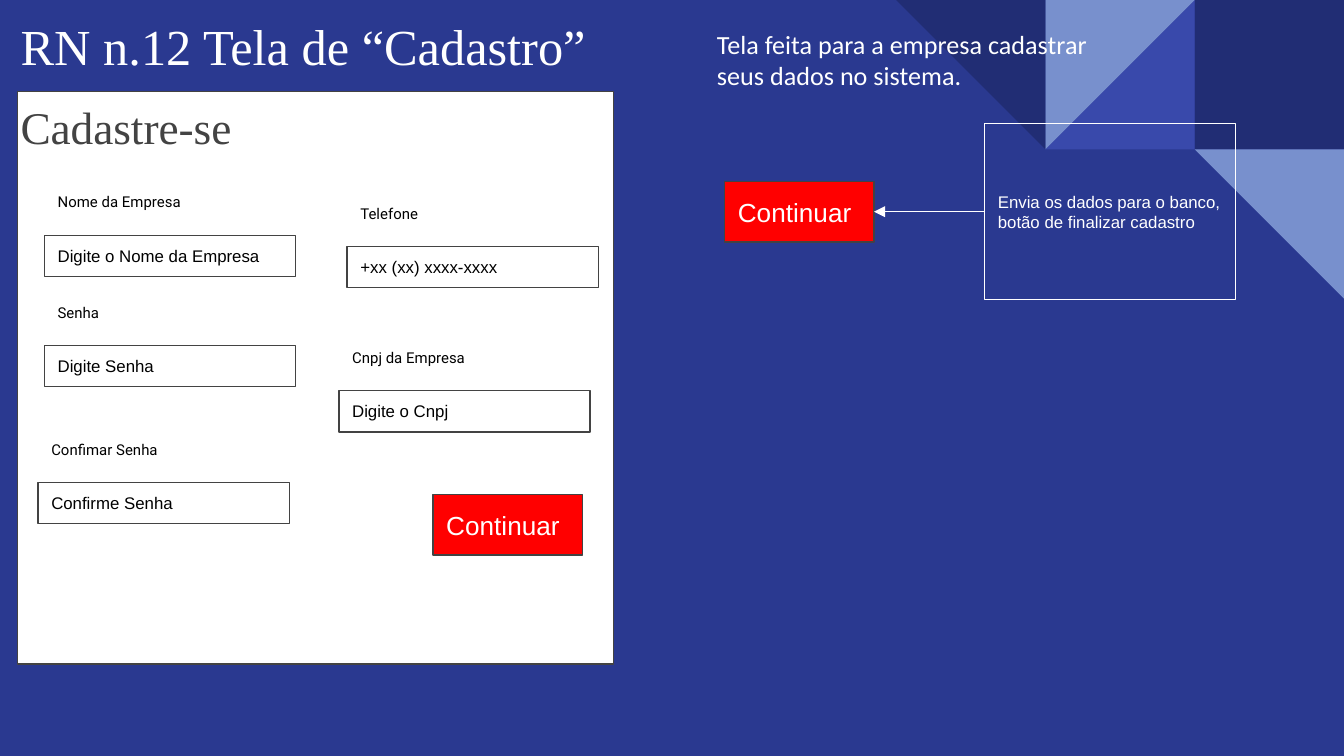
"""Build the slide that explains the company registration screen."""
from dataclasses import dataclass
from typing import Optional

from lxml.etree import SubElement
from pptx import Presentation
from pptx.dml.color import RGBColor
from pptx.enum.shapes import MSO_CONNECTOR as Connector, MSO_SHAPE as Preset
from pptx.enum.text import MSO_ANCHOR as Anchor, MSO_AUTO_SIZE as AutoSize
from pptx.oxml.ns import qn
from pptx.util import Pt

WHITE, BLACK, GRAY, RED = "FFFFFF", "000000", "434343", "FF0000"
NAVY, INDIGO, SKY, BACKGROUND = "212D74", "3949AB", "7890CD", "2A3990"
TILE = 80
FIELD_WIDTH, FIELD_HEIGHT = 134.6, 22.2
LABEL_RISE, LABEL_HEIGHT = 27.4, 24.5
LINE_WIDTH = 0.75


@dataclass
class Box:
    left: float
    top: float
    width: float
    height: float


@dataclass
class Style:
    size: float
    font: str
    color: str
    insets: tuple = (7.2, 7.2, 7.2, 7.2)
    anchor: Anchor = Anchor.TOP
    spacing: Optional[float] = None
    auto_size: AutoSize = AutoSize.NONE


@dataclass
class Tile:
    column: int
    row: int
    color: str
    preset: Preset = Preset.RIGHT_TRIANGLE
    rotation: int = 0


@dataclass
class Field:
    left: float
    top: float
    label: str
    hint: str
    label_width: float = 324


FIELD_STYLE = Style(9, "Arial", BLACK, anchor=Anchor.MIDDLE)
NOTE_STYLE = Style(9, "Arial", WHITE, anchor=Anchor.MIDDLE)
BUTTON_STYLE = Style(14, "Arial", WHITE, anchor=Anchor.MIDDLE)
LABEL_STYLE = Style(8, "Roboto", BLACK, auto_size=AutoSize.SHAPE_TO_FIT_TEXT)
SUMMARY_STYLE = Style(14, "Calibri", WHITE, (5.4, 2.7, 5.4, 2.7),
                      auto_size=AutoSize.SHAPE_TO_FIT_TEXT)
TITLE_STYLE = Style(27, "Times New Roman", WHITE, (5.4, 12, 5.4, 2.7), spacing=0.9)
HEADING_STYLE = Style(24.3, "Times New Roman", GRAY, (5.4, 2.7, 5.4, 2.7), spacing=0.9)

TILES = [
    Tile(2, 0, NAVY, Preset.RECTANGLE),
    Tile(1, 0, INDIGO, rotation=270),
    Tile(1, 0, SKY, rotation=90),
    Tile(0, 0, NAVY, rotation=180),
    Tile(2, 1, SKY, rotation=180),
]
FIELDS = [
    Field(23.8, 126, "Nome da Empresa", "Digite o Nome da Empresa"),
    Field(23.8, 185, "Senha", "Digite Senha"),
    Field(20.4, 258.4, "Confimar Senha", "Confirme Senha"),
    Field(186, 132, "Telefone", "+xx (xx) xxxx-xxxx"),
    Field(181.6, 209.2, "Cnpj da Empresa", "Digite o Cnpj", 124.6),
]


def rgb(value: str) -> RGBColor:
    """Turn a hex string into a colour."""
    return RGBColor.from_string(value)


def points(box: Box) -> tuple:
    """Return the four lengths of a box in points."""
    return Pt(box.left), Pt(box.top), Pt(box.width), Pt(box.height)


def write(shape, text: str, style: Style) -> None:
    """Put styled text into a shape."""
    frame = shape.text_frame
    left, top, right, bottom = map(Pt, style.insets)
    frame_format = {
        "word_wrap": True, "auto_size": style.auto_size, "vertical_anchor": style.anchor,
        "margin_left": left, "margin_top": top,
        "margin_right": right, "margin_bottom": bottom,
    }
    for name, value in frame_format.items():
        setattr(frame, name, value)
    paragraph = frame.paragraphs[0]
    paragraph.alignment = 1
    paragraph.line_spacing = style.spacing
    run = paragraph.add_run()
    run.text = text
    for name, value in {"size": Pt(style.size), "name": style.font}.items():
        setattr(run.font, name, value)
    run.font.color.rgb = rgb(style.color)


def add_text(slide, box: Box, text: str, style: Style) -> None:
    """Add a text box."""
    write(slide.shapes.add_textbox(*points(box)), text, style)


def add_shape(slide, box: Box, fill: Optional[str] = None, line: Optional[str] = None,
              preset: Preset = Preset.RECTANGLE):
    """Add a flat preset shape with optional fill and outline."""
    shape = slide.shapes.add_shape(preset, *points(box))
    shape.shadow.inherit = False
    if fill:
        shape.fill.solid()
        shape.fill.fore_color.rgb = rgb(fill)
    else:
        shape.fill.background()
    if line:
        shape.line.color.rgb = rgb(line)
        shape.line.width = Pt(LINE_WIDTH)
    else:
        shape.line.fill.background()
    return shape


def add_tile(slide, tile: Tile) -> None:
    """Add one tile of the corner ornament."""
    box = Box(480 + tile.column * TILE, tile.row * TILE, TILE, TILE)
    add_shape(slide, box, tile.color, preset=tile.preset).rotation = tile.rotation


def add_button(slide, left: float, top: float) -> None:
    """Add a red continue button."""
    button = add_shape(slide, Box(left, top, 80, 32.4), RED, GRAY)
    write(button, "Continuar", BUTTON_STYLE)


def add_field(slide, field: Field) -> None:
    """Add an input field with its label above."""
    box = Box(field.left, field.top, FIELD_WIDTH, FIELD_HEIGHT)
    write(add_shape(slide, box, WHITE, GRAY), field.hint, FIELD_STYLE)
    label_box = Box(field.left, field.top - LABEL_RISE, field.label_width, LABEL_HEIGHT)
    add_text(slide, label_box, field.label, LABEL_STYLE)


def add_arrow(slide, start: tuple, end: tuple) -> None:
    """Add a white arrow pointing at the end."""
    arrow = slide.shapes.add_connector(Connector.STRAIGHT, *map(Pt, start + end))
    arrow.line.color.rgb = rgb(WHITE)
    arrow.line.width = Pt(LINE_WIDTH)
    SubElement(arrow.line._get_or_add_ln(), qn("a:tailEnd"), type="triangle")
    SubElement(arrow._element.spPr, qn("a:effectLst"))


def main() -> None:
    """Draw the slide and save it."""
    presentation = Presentation()
    presentation.slide_width, presentation.slide_height = Pt(720), Pt(405)
    slide = presentation.slides.add_slide(presentation.slide_layouts[6])
    slide.background.fill.solid()
    slide.background.fill.fore_color.rgb = rgb(BACKGROUND)

    for tile in TILES:
        add_tile(slide, tile)
    add_text(slide, Box(5.6, 0, 771.8, 78.5), "RN n.12 Tela de “Cadastro”", TITLE_STYLE)
    add_text(slide, Box(378.7, 12.4, 213.8, 39.6),
             "Tela feita para a empresa cadastrar seus dados no sistema.", SUMMARY_STYLE)

    add_shape(slide, Box(9.2, 49.2, 319.6, 306.6), WHITE, GRAY)
    add_text(slide, Box(5.6, 54, 290.2, 54.7), "Cadastre-se", HEADING_STYLE)
    add_button(slide, 232, 265)
    for field in FIELDS:
        add_field(slide, field)

    add_button(slide, 388.2, 97.2)
    note = add_shape(slide, Box(527.5, 66.2, FIELD_WIDTH, 94.3), line=WHITE)
    write(note, "Envia os dados para o banco, botão de finalizar cadastro", NOTE_STYLE)
    add_arrow(slide, (527.5, 113.4), (468.2, 113.4))
    presentation.save("out.pptx")


if __name__ == "__main__":
    main()
